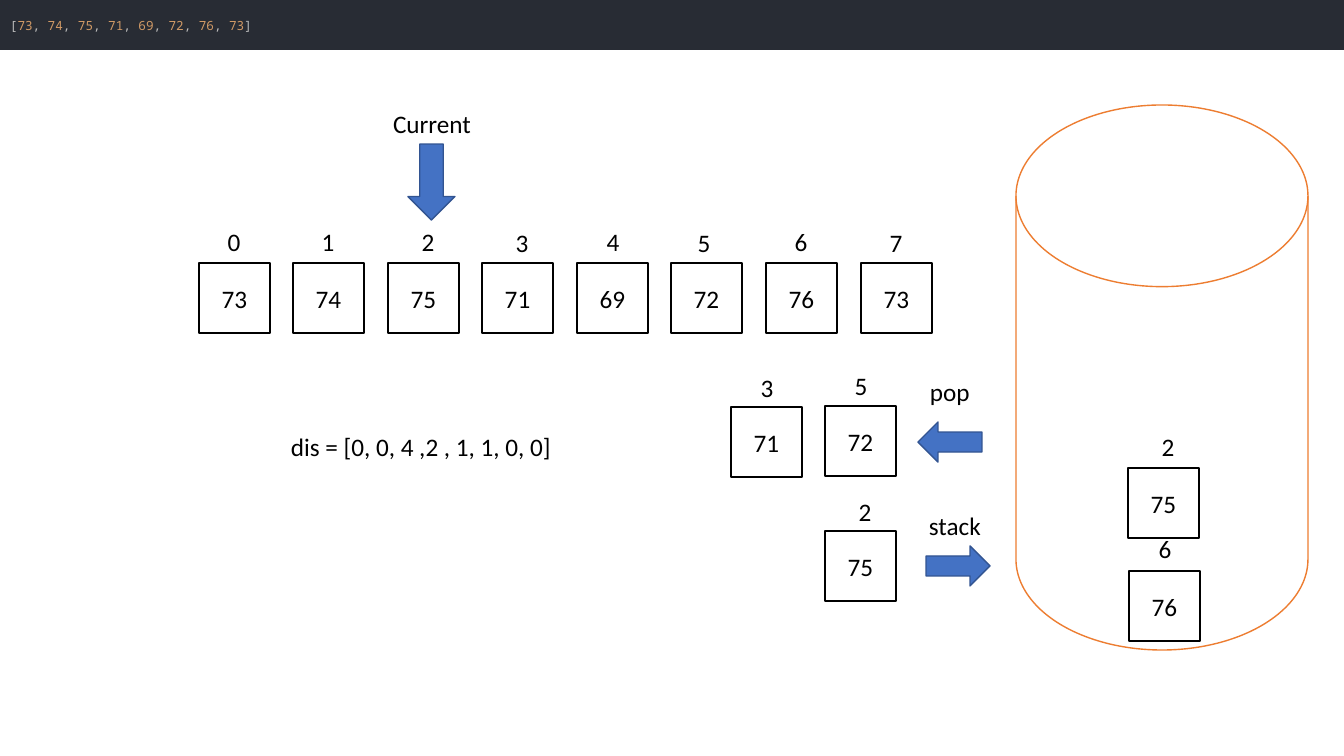
import pptx
import pptx.dml.color
import pptx.enum.shapes
import pptx.enum.text
import pptx.util

RGBColor = pptx.dml.color.RGBColor
SHAPE = pptx.enum.shapes.MSO_SHAPE
ALIGN = pptx.enum.text.PP_ALIGN
ANCHOR = pptx.enum.text.MSO_ANCHOR

WHITE = RGBColor(0xFF, 0xFF, 0xFF)
BLACK = RGBColor(0x00, 0x00, 0x00)
BLUE = RGBColor(0x44, 0x72, 0xC4)
DARK_BLUE = RGBColor(0x32, 0x54, 0x91)
ORANGE = RGBColor(0xED, 0x7D, 0x31)
CODE_BACK = RGBColor(0x28, 0x2C, 0x34)
CODE_GREY = RGBColor(0xBB, 0xBB, 0xBB)
CODE_NUMBER = RGBColor(0xD1, 0x9A, 0x66)

PX_PER_INCH = 100.8
CELL_WIDTH, CELL_HEIGHT = 71, 70
LABEL_WIDTH, LABEL_HEIGHT = 60, 40
ROW_LEFT, ROW_TOP, ROW_SPAN = 199, 263, 662

TEMPERATURES = [73, 74, 75, 71, 69, 72, 76, 73]
INDEX_NUDGES = [(0, 0), (0, 0), (5, 0), (5, 1), (1, 0), (-2, 1), (0, 0), (0, 1)]


def px(length):
    return pptx.util.Inches(length / PX_PER_INCH)


def style_span(span, size, font, color):
    span.font.size = pptx.util.Pt(size)
    span.font.name = font
    span.font.color.rgb = color


def write(box, text, align):
    box.text_frame.text = text
    para = box.text_frame.paragraphs[0]
    para.alignment = align
    style_span(para.runs[0], 18, "Calibri", BLACK)


def add_figure(page, kind, left, top, width, height, fill, outline=None):
    figure = page.shapes.add_shape(kind, px(left), px(top), px(width), px(height))
    figure.shadow.inherit = False
    figure.fill.solid()
    figure.fill.fore_color.rgb = fill
    if outline is None:
        figure.line.fill.background()
    else:
        figure.line.color.rgb = outline
        figure.line.width = pptx.util.Pt(1)
    return figure


def add_label(page, text, left, top, width, align=ALIGN.LEFT):
    box = page.shapes.add_textbox(px(left), px(top), px(width), px(LABEL_HEIGHT))
    box.text_frame.word_wrap = True
    write(box, text, align)


def add_cell(page, index, value, left, top, nudge=(0, 0)):
    cell = add_figure(page, SHAPE.RECTANGLE, left, top, CELL_WIDTH, CELL_HEIGHT, WHITE, BLACK)
    cell.text_frame.vertical_anchor = ANCHOR.MIDDLE
    write(cell, str(value), ALIGN.CENTER)
    label_left = left + (CELL_WIDTH - LABEL_WIDTH) // 2 + nudge[0]
    add_label(page, str(index), label_left, top - 42 + nudge[1], LABEL_WIDTH, ALIGN.CENTER)


def add_arrow(page, kind, left, top, width, height, rotation=0):
    arrow = add_figure(page, kind, left, top, width, height, BLUE, DARK_BLUE)
    arrow.rotation = rotation


def add_code_strip(page, values):
    strip = add_figure(page, SHAPE.RECTANGLE, 0, 0, 1344, 50, CODE_BACK)
    strip.text_frame.vertical_anchor = ANCHOR.MIDDLE
    para = strip.text_frame.paragraphs[0]
    para.alignment = ALIGN.LEFT
    pieces = [("[", CODE_GREY)]
    for value in values:
        pieces += [(str(value), CODE_NUMBER), (", ", CODE_GREY)]
    pieces[-1] = ("]", CODE_GREY)
    for text, color in pieces:
        span = para.add_run()
        span.text = text
        style_span(span, 9, "Noto Sans Mono", color)


def main():
    deck = pptx.Presentation()
    deck.slide_width, deck.slide_height = px(1344), px(756)
    page = deck.slides.add_slide(deck.slide_layouts[6])

    add_code_strip(page, TEMPERATURES)
    last = len(TEMPERATURES) - 1
    for index, (value, nudge) in enumerate(zip(TEMPERATURES, INDEX_NUDGES)):
        add_cell(page, index, value, ROW_LEFT + ROW_SPAN * index // last, ROW_TOP, nudge)

    add_label(page, "Current", 364, 103, 136, ALIGN.CENTER)
    add_arrow(page, SHAPE.DOWN_ARROW, 408, 144, 47, 76)
    add_label(page, "dis = [0, 0, 4 ,2 , 1, 1, 0, 0]", 281, 426, 333)

    add_figure(page, SHAPE.FLOWCHART_MAGNETIC_DISK, 1016, 105, 292, 545, WHITE, ORANGE)
    add_cell(page, 6, 76, 1129, 571, (1, -1))
    add_cell(page, 2, 75, 1128, 468, (5, 0))

    add_cell(page, 3, 71, 731, 407, (1, 2))
    add_cell(page, 5, 72, 825, 406, (1, 1))
    add_label(page, "pop", 920, 371, 68)
    add_arrow(page, SHAPE.RIGHT_ARROW, 918, 422, 64, 40, 180)

    add_cell(page, 2, 75, 825, 531, (5, 2))
    add_label(page, "stack", 919, 505, 83)
    add_arrow(page, SHAPE.RIGHT_ARROW, 926, 546, 64, 40)

    deck.save("out.pptx")


if __name__ == "__main__":
    main()
